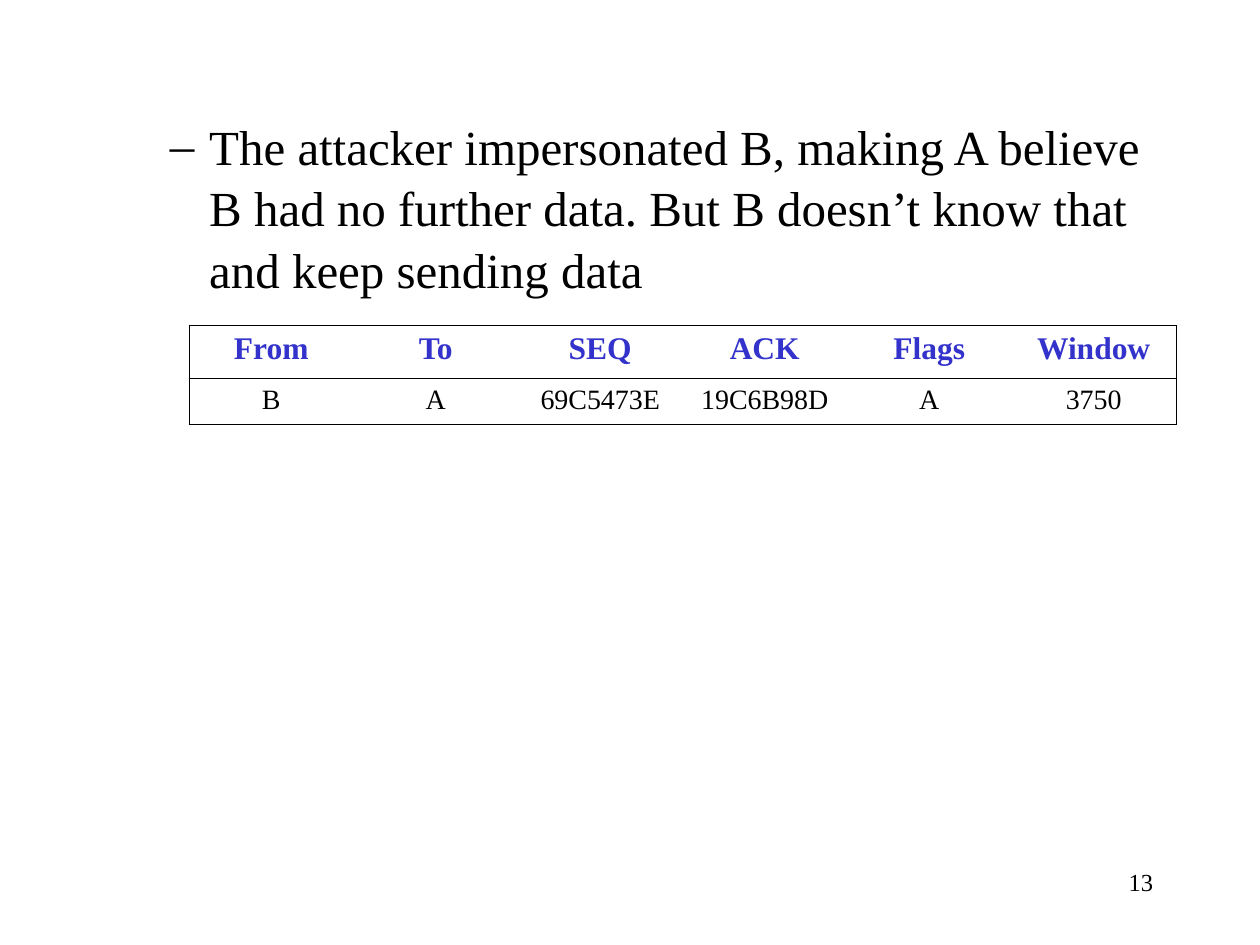
from lxml import etree
from pptx import Presentation
from pptx.dml.color import RGBColor
from pptx.enum.text import PP_ALIGN
from pptx.oxml.ns import qn
from pptx.util import Pt

LEFT, CENTER, RIGHT = PP_ALIGN.LEFT, PP_ALIGN.CENTER, PP_ALIGN.RIGHT
BLACK, BLUE = "000000", "3333CC"
FONT = "Times New Roman"
STATEMENT = (
    "The attacker impersonated B, making A believe B had no further data. "
    "But B doesn’t know that and keep sending data"
)
PACKETS = [
    ["From", "To", "SEQ", "ACK", "Flags", "Window"],
    ["B", "A", "69C5473E", "19C6B98D", "A", "3750"],
]
ROW_HEIGHTS = [30.2, 26.4]
ROW_FORMATS = [
    {"size": Pt(18), "bold": True, "color": BLUE},
    {"size": Pt(16), "bold": False, "color": BLACK},
]


def color_of(value):
    return RGBColor.from_string(value)


class SlideBuilder:
    def __init__(self, deck):
        self.slide = deck.slides.add_slide(deck.slide_layouts[6])
        self.font = {"name": FONT, "size": Pt(28), "bold": False}

    def add_span(self, para, text, align, values):
        para.alignment = align
        span = para.add_run()
        span.text = text
        values = {**self.font, **values}
        span.font.color.rgb = color_of(values.pop("color", BLACK))
        for name, value in values.items():
            setattr(span.font, name, value)

    def text(self, place, text, align=LEFT, **values):
        box = self.slide.shapes.add_textbox(*map(Pt, place))
        box.text_frame.word_wrap = True
        para = box.text_frame.paragraphs[0]
        self.add_span(para, text, align, values)
        return box

    def bullet(self, place, text, mark, left, hanging):
        box = self.text(place, text)
        box.text_frame.margin_top = Pt(5.4)
        para = box.text_frame.paragraphs[0]
        para.line_spacing = 1.04
        properties = para._p.get_or_add_pPr()
        properties.set("marL", str(Pt(left)))
        properties.set("indent", str(-Pt(hanging)))
        etree.SubElement(properties, qn("a:buFont"), typeface=FONT)
        etree.SubElement(properties, qn("a:buChar"), char=mark)

    def border(self, cell, side, visible):
        properties = cell._tc.get_or_add_tcPr()
        line = etree.SubElement(properties, qn(f"a:ln{side}"), w=str(Pt(0.45)))
        if visible:
            fill = etree.SubElement(line, qn("a:solidFill"))
            etree.SubElement(fill, qn("a:srgbClr"), val=BLACK)
        else:
            etree.SubElement(line, qn("a:noFill"))

    def table(self, place, rows, heights, formats):
        last = len(rows[0]) - 1
        frame = self.slide.shapes.add_table(
            len(rows), len(rows[0]), *map(Pt, place))
        grid = frame.table
        grid.first_row = grid.horz_banding = False
        for r, (texts, height, values) in enumerate(zip(rows, heights, formats)):
            grid.rows[r].height = Pt(height)
            for c, text in enumerate(texts):
                cell = grid.cell(r, c)
                self.add_span(cell.text_frame.paragraphs[0], text, CENTER, values)
                edges = {"L": c == 0, "R": c == last, "T": True, "B": True}
                for side, visible in edges.items():
                    self.border(cell, side, visible)
                cell.fill.background()


def main():
    deck = Presentation()
    deck.slide_width, deck.slide_height = Pt(720), Pt(540)
    page = SlideBuilder(deck)
    page.bullet((54, 60, 612, 420), STATEMENT, "–", left=58.5, hanging=22.5)
    page.table((108, 186, 564, sum(ROW_HEIGHTS)), PACKETS, ROW_HEIGHTS, ROW_FORMATS)
    page.text((516, 492, 150, 36), "13", RIGHT, size=Pt(14))
    deck.save("out.pptx")


if __name__ == "__main__":
    main()
